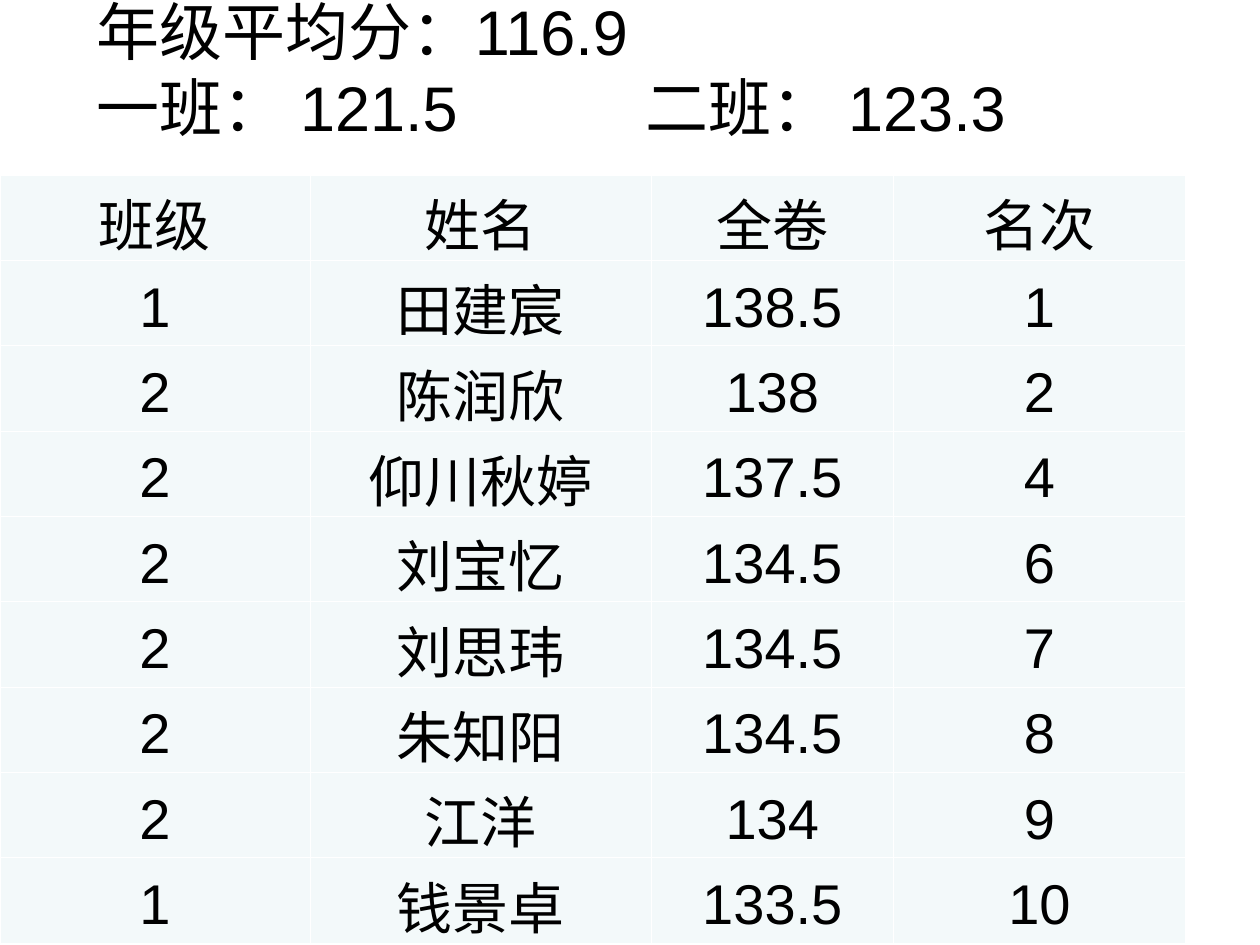
from lxml.etree import SubElement
from pptx import Presentation
from pptx.dml.color import RGBColor
from pptx.enum.text import MSO_ANCHOR, MSO_AUTO_SIZE, PP_ALIGN
from pptx.oxml.ns import qn
from pptx.util import Cm, Pt

COLORS = {"text": "000000", "cell": "F3F9FA", "border": "FFFFFF"}
FONT = "Arial"
COLUMN_WIDTHS = [6.25, 6.88, 4.88, 5.89]
ROW_HEIGHT = 1.72
RANKING = [
    ("班级", "姓名", "全卷", "名次"),
    ("1", "田建宸", "138.5", "1"),
    ("2", "陈润欣", "138", "2"),
    ("2", "仰川秋婷", "137.5", "4"),
    ("2", "刘宝忆", "134.5", "6"),
    ("2", "刘思玮", "134.5", "7"),
    ("2", "朱知阳", "134.5", "8"),
    ("2", "江洋", "134", "9"),
    ("1", "钱景卓", "133.5", "10"),
]


def format_paragraph(paragraph, size, alignment):
    paragraph.alignment = alignment
    for run in paragraph.runs:
        run.font.size = Pt(size)
        run.font.name = FONT
        run.font.color.rgb = RGBColor.from_string(COLORS["text"])


def add_borders(cell):
    """Draw a thin line on all four sides; call before setting the fill."""
    properties = cell._tc.get_or_add_tcPr()
    for side in ("a:lnL", "a:lnR", "a:lnT", "a:lnB"):
        line = SubElement(properties, qn(side), w=str(Pt(0.45)))
        solid = SubElement(line, qn("a:solidFill"))
        SubElement(solid, qn("a:srgbClr"), val=COLORS["border"])


prs = Presentation()
prs.slide_width, prs.slide_height = Cm(25.4), Cm(19.05)
slide = prs.slides.add_slide(prs.slide_layouts[5])

# Averages of the year and of both classes
averages = slide.shapes.title
averages.left, averages.top = Cm(1.7), Cm(-0.28)
averages.width, averages.height = Cm(23.4), Cm(3.3)
averages_text = averages.text_frame
averages_text.text = "年级平均分：116.9\n一班： 121.5\t二班： 123.3"
averages_text.word_wrap = True
averages_text.auto_size = MSO_AUTO_SIZE.SHAPE_TO_FIT_TEXT
averages_text.vertical_anchor = MSO_ANCHOR.TOP
for paragraph in averages_text.paragraphs:
    tab_stops = SubElement(paragraph._p.get_or_add_pPr(), qn("a:tabLst"))
    SubElement(tab_stops, qn("a:tab"), pos=str(Cm(11.05)), algn="l")
    format_paragraph(paragraph, 36, PP_ALIGN.LEFT)

# Ranking of the best students
ranking = slide.shapes.add_table(
    len(RANKING), len(COLUMN_WIDTHS), Cm(0), Cm(3.53),
    Cm(sum(COLUMN_WIDTHS)), Cm(ROW_HEIGHT * len(RANKING)),
).table
for column, width in zip(ranking.columns, COLUMN_WIDTHS):
    column.width = Cm(width)
for row, values in zip(ranking.rows, RANKING):
    row.height = Cm(ROW_HEIGHT)
    for cell, value in zip(row.cells, values):
        cell.text = value
        cell.vertical_anchor = MSO_ANCHOR.BOTTOM
        cell.margin_left = cell.margin_right = Cm(0.03)
        cell.margin_top = cell.margin_bottom = Cm(0.13)
        add_borders(cell)
        cell.fill.solid()
        cell.fill.fore_color.rgb = RGBColor.from_string(COLORS["cell"])
        format_paragraph(cell.text_frame.paragraphs[0], 32, PP_ALIGN.CENTER)

prs.save("out.pptx")
